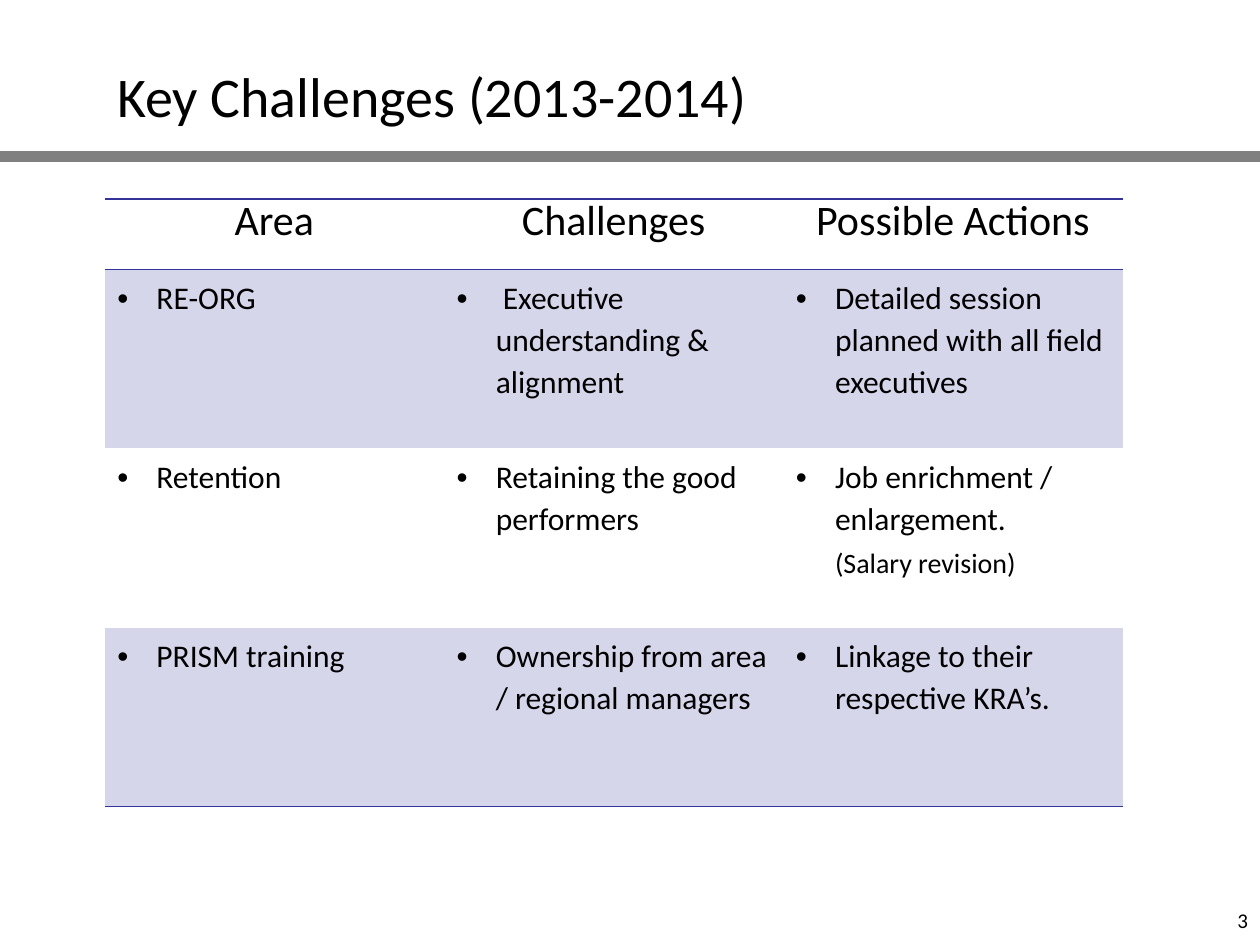
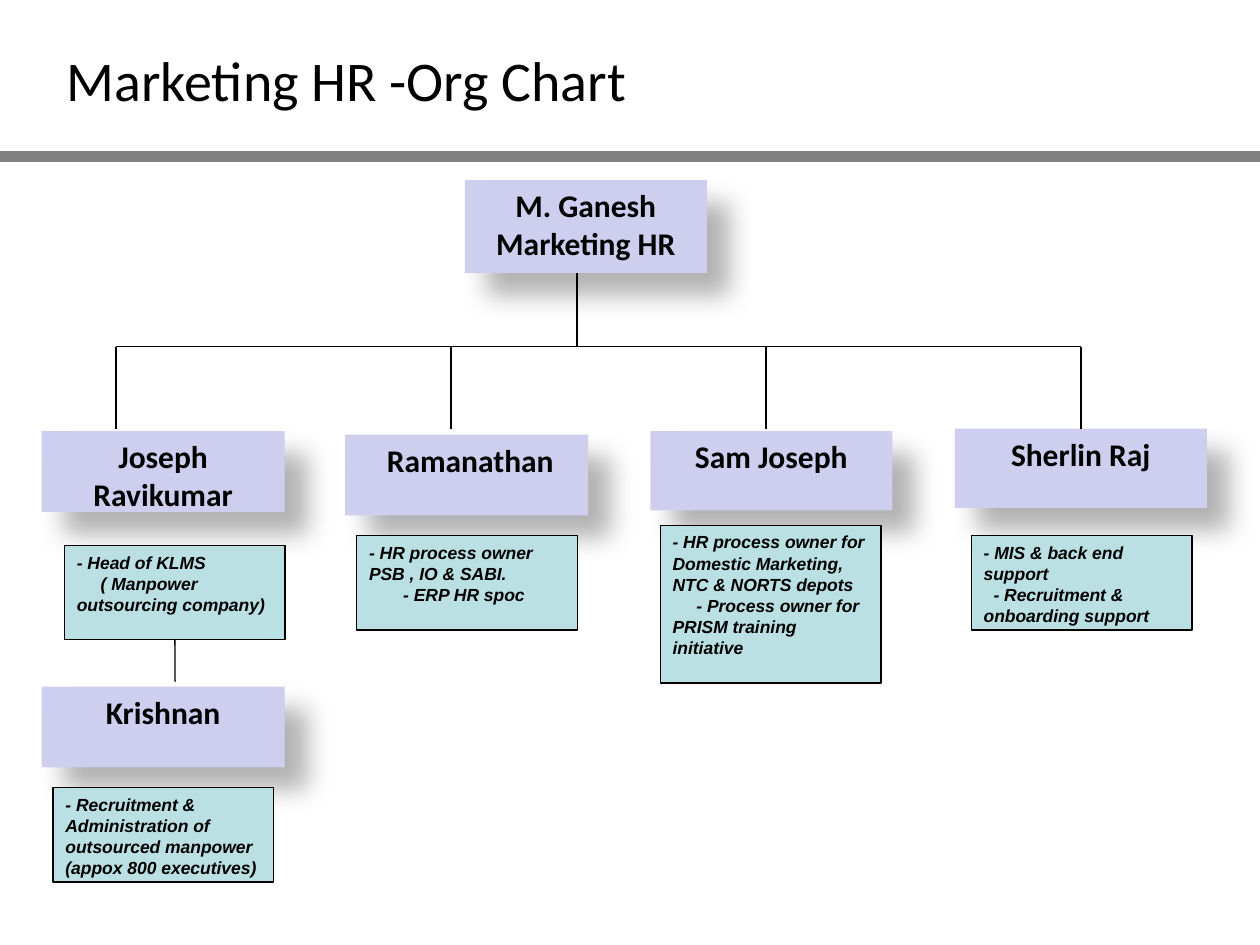
"""Build the key challenges table slide and the Marketing HR org chart slide."""
from lxml import etree
from pptx import Presentation
from pptx import util as u
from pptx.dml.color import RGBColor
from pptx.enum import shapes, text
from pptx.oxml import parse_xml
from pptx.oxml.ns import qn

COLORS = {"text": "000000", "rule": "808080", "border": "333399",
          "band": "D6D6EB", "person": "CECEEF", "duty": "BBE0E3"}
DRAWING_NS = 'xmlns:a="http://schemas.openxmlformats.org/drawingml/2006/main"'
NO_STYLE = "{2D5ABB26-0587-4C30-8999-92F81FD0307C}"


def add_run(paragraph, content, size, font="Calibri", bold=False, italic=False):
    run = paragraph.add_run()
    run.text = content
    run.font.size = u.Pt(size)
    run.font.name = font
    run.font.bold = bold
    run.font.italic = italic
    run.font.color.rgb = RGBColor.from_string(COLORS["text"])


def add_line(slide, x1, y1, x2, y2, color="text", width=0.75):
    line = slide.shapes.add_connector(
        shapes.MSO_CONNECTOR.STRAIGHT, u.Cm(x1), u.Cm(y1), u.Cm(x2), u.Cm(y2))
    line.line.color.rgb = RGBColor.from_string(COLORS[color])
    line.line.width = u.Pt(width)
    etree.SubElement(line.element.spPr, qn("a:effectLst"))
    return line


presentation = Presentation()
presentation.slide_width, presentation.slide_height = u.Cm(25.4), u.Cm(19.05)

slides = []
for title, box in [("Key Challenges (2013-2014)", (2.11, 0.64, 21.39, 2.54)),
                   ("Marketing HR -Org Chart", (1.09, 0.43, 16.31, 2.34))]:
    slide = presentation.slides.add_slide(presentation.slide_layouts[6])
    add_line(slide, 0, 3.15, 25.4, 3.15, "rule", 6)
    frame = slide.shapes.add_textbox(*map(u.Cm, box)).text_frame
    frame.word_wrap = True
    frame.vertical_anchor = text.MSO_ANCHOR.MIDDLE
    add_run(frame.paragraphs[0], title, 32)
    slides.append(slide)
challenges_slide, org_slide = slides

table_rows = [
    ["Area", "Challenges", "Possible Actions"],
    ["RE-ORG", " Executive understanding & alignment",
     "Detailed session planned with all field executives"],
    ["Retention", "Retaining the good performers", "Job enrichment / enlargement."],
    ["PRISM training", "Ownership from area / regional managers",
     "Linkage to their respective KRA’s."],
]
table_frame = challenges_slide.shapes.add_table(
    4, 3, u.Cm(2.11), u.Cm(4.01), u.Cm(20.52), u.Cm(12.25))
table = table_frame.table
table.first_row = table.horz_banding = False
next(table_frame.element.iter(qn("a:tableStyleId"))).text = NO_STYLE
for column in table.columns:
    column.width = u.Cm(6.84)
for row_index, contents in enumerate(table_rows):
    header = row_index == 0
    table.rows[row_index].height = u.Cm(1.42 if header else 3.61)
    sides = {0: ["lnT", "lnB"], 3: ["lnB"]}.get(row_index, [])
    for column_index, content in enumerate(contents):
        cell = table.cell(row_index, column_index)
        paragraph = cell.text_frame.paragraphs[0]
        paragraph.line_spacing = u.Pt(24)
        paragraph.space_after = u.Pt(12)
        add_run(paragraph, content, 24 if header else 18)
        if header:
            paragraph.alignment = text.PP_ALIGN.CENTER
        else:
            properties = paragraph._p.get_or_add_pPr()
            properties.set("marL", str(u.Cm(0.79)))
            properties.set("indent", str(-u.Cm(0.79)))
            etree.SubElement(properties, qn("a:buFont")).set("typeface", "Arial")
            etree.SubElement(properties, qn("a:buChar")).set("char", "•")
        cell_properties = cell._tc.get_or_add_tcPr()
        for side in sides:
            cell_properties.append(parse_xml(
                f'<a:{side} {DRAWING_NS} w="12700"><a:solidFill>'
                f'<a:srgbClr val="{COLORS["border"]}"/></a:solidFill></a:{side}>'))
        if row_index % 2:
            cell.fill.solid()
            cell.fill.fore_color.rgb = RGBColor.from_string(COLORS["band"])
        else:
            cell.fill.background()
salary_paragraph = table.cell(2, 2).text_frame.paragraphs[0]
salary_paragraph.add_line_break()
add_run(salary_paragraph, "(Salary revision)", 16)

number_frame = challenges_slide.shapes.add_textbox(
    u.Cm(19.48), u.Cm(18.03), u.Cm(5.93), u.Cm(1.02)).text_frame
number_frame.word_wrap = True
number_frame.vertical_anchor = text.MSO_ANCHOR.MIDDLE
number_frame.paragraphs[0].alignment = text.PP_ALIGN.RIGHT
add_run(number_frame.paragraphs[0], "3", 12)

people = [
    (["M. Ganesh", "Marketing HR"], 9.37, 3.63, 4.88, 1.88),
    ([" Ramanathan"], 6.96, 8.76, 4.9, 1.63),
    (["Sam Joseph"], 13.11, 8.69, 4.88, 1.6),
    (["Sherlin Raj"], 19.25, 8.64, 5.08, 1.6),
    (["Joseph Ravikumar"], 0.84, 8.69, 4.9, 1.63),
    (["Krishnan"], 0.84, 13.84, 4.9, 1.63),
]
duties = [
    (["- Head of KLMS", "( Manpower outsourcing company)"], 1.3, 11, 1.9, 0.48),
    (["- Recruitment & Administration of outsourced manpower (appox 800 executives)"],
     1.07, 15.88, 1.9, 0),
    (["- HR process owner PSB , IO & SABI.", "- ERP HR spoc"], 7.19, 10.8, 1.9, 0.69),
    (["- HR process owner for Domestic Marketing, NTC & NORTS depots",
      "- Process owner for PRISM training initiative"], 13.31, 10.59, 3.18, 0.48),
    (["- MIS & back end support", "- Recruitment & onboarding support"],
     19.58, 10.8, 1.9, 0.2),
]
boxes = [("person", lines, (left, top, width, height), 0)
         for lines, left, top, width, height in people]
boxes += [("duty", lines, (left, top, 4.45, height), indent)
          for lines, left, top, height, indent in duties]
org_boxes = {}
for kind, lines, box, indent in boxes:
    shape = org_slide.shapes.add_shape(
        shapes.MSO_SHAPE.RECTANGLE, *map(u.Cm, box))
    shape.shadow.inherit = False
    shape.fill.solid()
    shape.fill.fore_color.rgb = RGBColor.from_string(COLORS[kind])
    frame = shape.text_frame
    frame.word_wrap = True
    frame.vertical_anchor = text.MSO_ANCHOR.TOP
    if kind == "person":
        shape.line.fill.background()
        shape.element.spPr.find(qn("a:effectLst")).append(parse_xml(
            f'<a:outerShdw {DRAWING_NS} blurRad="{u.Pt(15)}" dist="{u.Pt(18)}" '
            'dir="2700000" algn="tl" rotWithShape="0"><a:srgbClr val="000000">'
            '<a:alpha val="30000"/></a:srgbClr></a:outerShdw>'))
    else:
        shape.line.color.rgb = RGBColor.from_string(COLORS["text"])
        shape.line.width = u.Pt(0.75)
    for index, content in enumerate(lines):
        paragraph = frame.add_paragraph() if index else frame.paragraphs[0]
        if kind == "person":
            paragraph.alignment = text.PP_ALIGN.CENTER
            add_run(paragraph, content, 18, bold=True)
        else:
            paragraph.alignment = text.PP_ALIGN.LEFT
            if index:
                paragraph._p.get_or_add_pPr().set("indent", str(u.Cm(indent)))
            add_run(paragraph, content, 10, "Arial", bold=True, italic=True)
    org_boxes[lines[0]] = shape

bus_y, drop_end = 6.99, 8.64
add_line(org_slide, 2.34, bus_y, 21.79, bus_y)
add_line(org_slide, 11.63, 5.51, 11.63, bus_y)
for x in (2.34, 9.09, 15.44, 21.79):
    drop = add_line(org_slide, x, bus_y, x, drop_end)
drop.end_connect(org_boxes["Sherlin Raj"], 0)
krishnan_line = add_line(org_slide, 3.53, 12.9, 3.53, 13.74)
krishnan_line.begin_connect(org_boxes["- Head of KLMS"], 2)

presentation.save("out.pptx")
